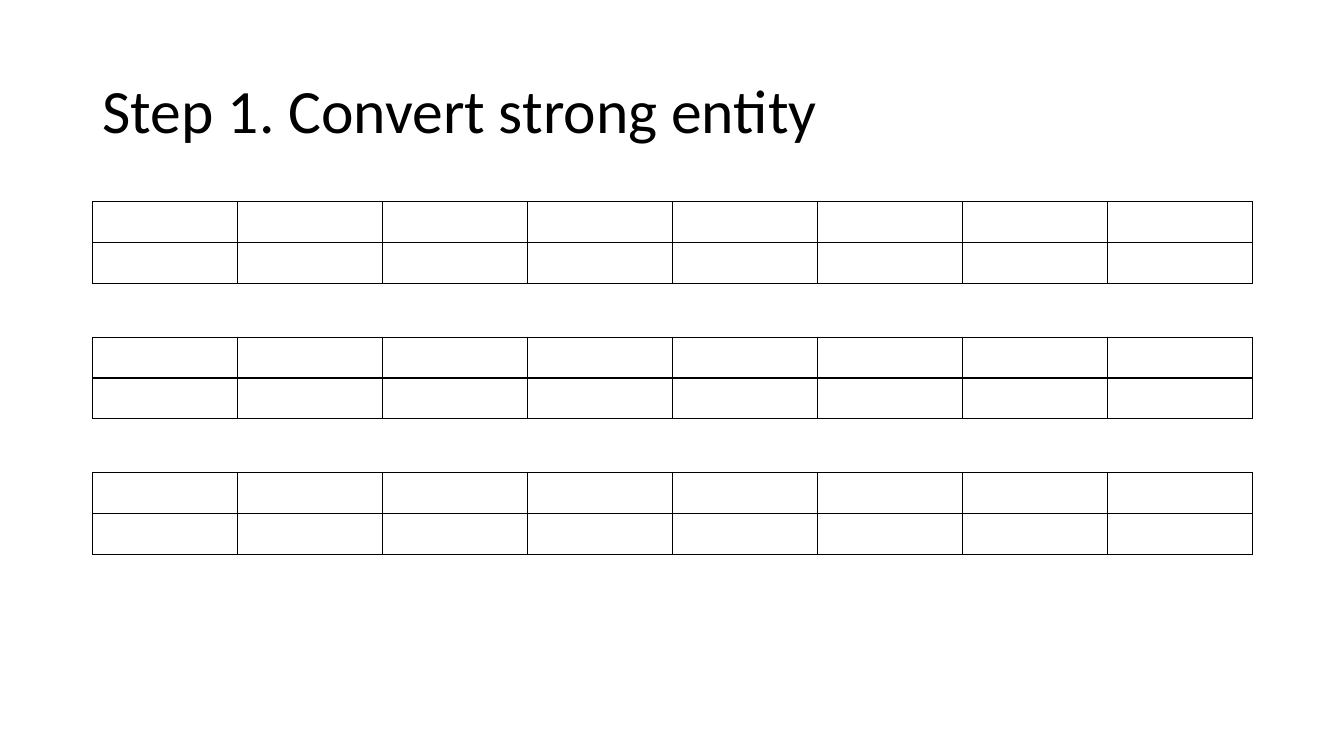
"""Build the slide on converting strong entities, with three empty tables."""
from lxml import etree
from pptx import Presentation
from pptx import util as u
from pptx.dml.color import RGBColor
from pptx.enum import text
from pptx.oxml import ns

TITLE = "Step 1. Convert strong entity"
TITLE_BOX = (0.92, 0.4, 11.5, 1.45)
TITLE_FONT = {"name": "Calibri", "size": u.Pt(44), "bold": False}
BLACK = "000000"
LEFT, FIRST_TOP, TABLE_STEP = 0.92, 2, 1.345
TABLE_WIDTH, TABLE_HEIGHT = 11.5, 0.81
TABLES, ROWS, COLUMNS = 3, 2, 8


def color(value):
    return RGBColor.from_string(value)


def set_values(target, values):
    for name, value in values.items():
        setattr(target, name, value)


def add_title(slide):
    frame = slide.shapes.add_textbox(*map(u.Inches, TITLE_BOX)).text_frame
    set_values(frame, {"word_wrap": True, "vertical_anchor": text.MSO_ANCHOR.MIDDLE})
    paragraph = frame.paragraphs[0]
    paragraph.line_spacing = 0.9
    run = paragraph.add_run()
    run.text = TITLE
    set_values(run.font, TITLE_FONT)
    run.font.color.rgb = color(BLACK)


def add_borders(cell):
    properties = cell._tc.get_or_add_tcPr()
    for position, side in enumerate(("lnL", "lnR", "lnT", "lnB")):
        line = etree.Element(ns.qn(f"a:{side}"), w=str(u.Pt(1)))
        fill = etree.SubElement(line, ns.qn("a:solidFill"))
        etree.SubElement(fill, ns.qn("a:srgbClr"), val=BLACK)
        properties.insert(position, line)


def add_empty_table(slide, top):
    box = map(u.Inches, (LEFT, top, TABLE_WIDTH, TABLE_HEIGHT))
    table = slide.shapes.add_table(ROWS, COLUMNS, *box).table
    set_values(table, {"first_row": False, "horz_banding": False})
    for cell in table.iter_cells():
        cell.fill.background()
        add_borders(cell)


def main():
    presentation = Presentation()
    set_values(presentation, {"slide_width": u.Inches(13.33), "slide_height": u.Inches(7.5)})
    slide = presentation.slides.add_slide(presentation.slide_layouts[6])
    add_title(slide)
    for index in range(TABLES):
        add_empty_table(slide, FIRST_TOP + index * TABLE_STEP)
    presentation.save("out.pptx")


if __name__ == "__main__":
    main()
